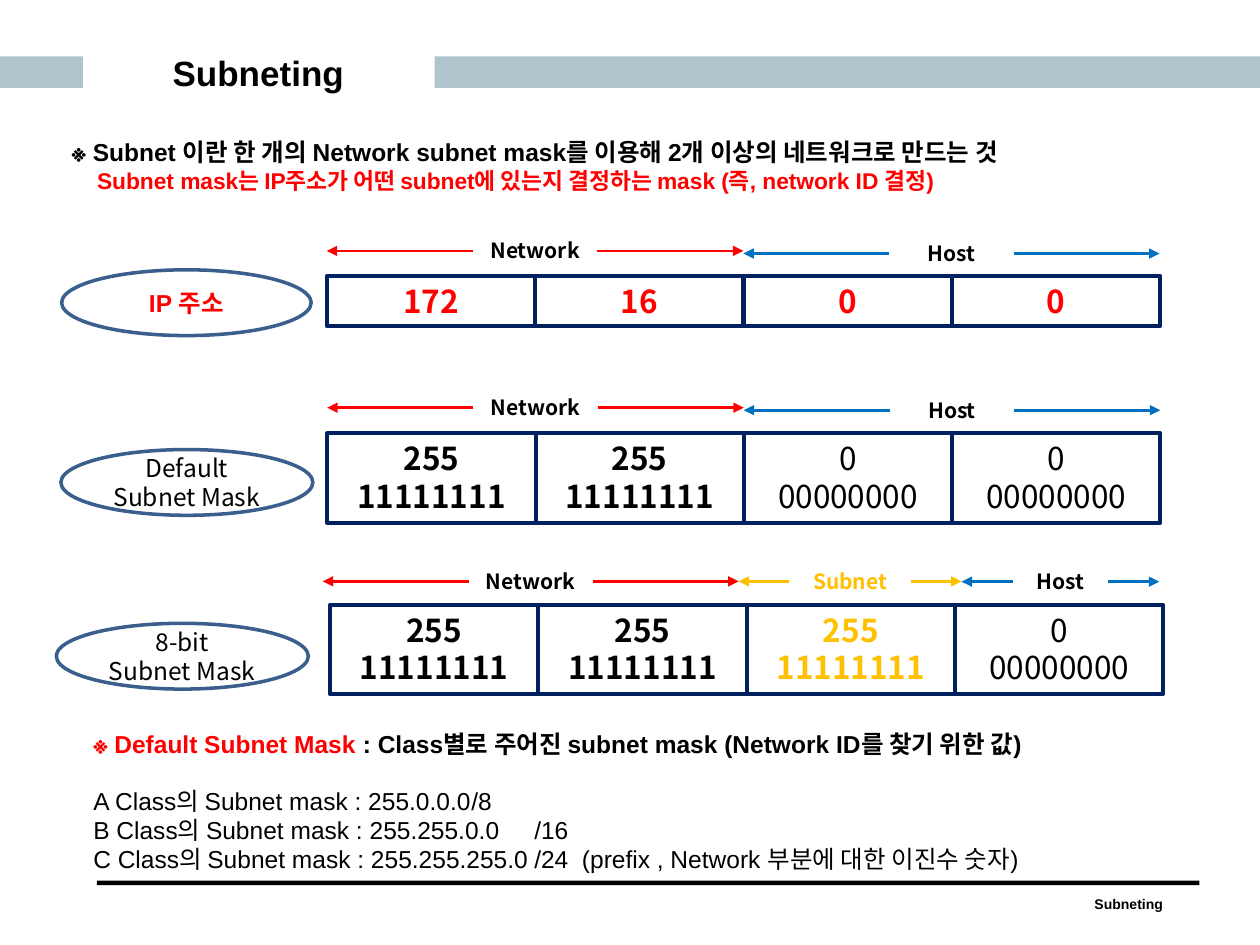
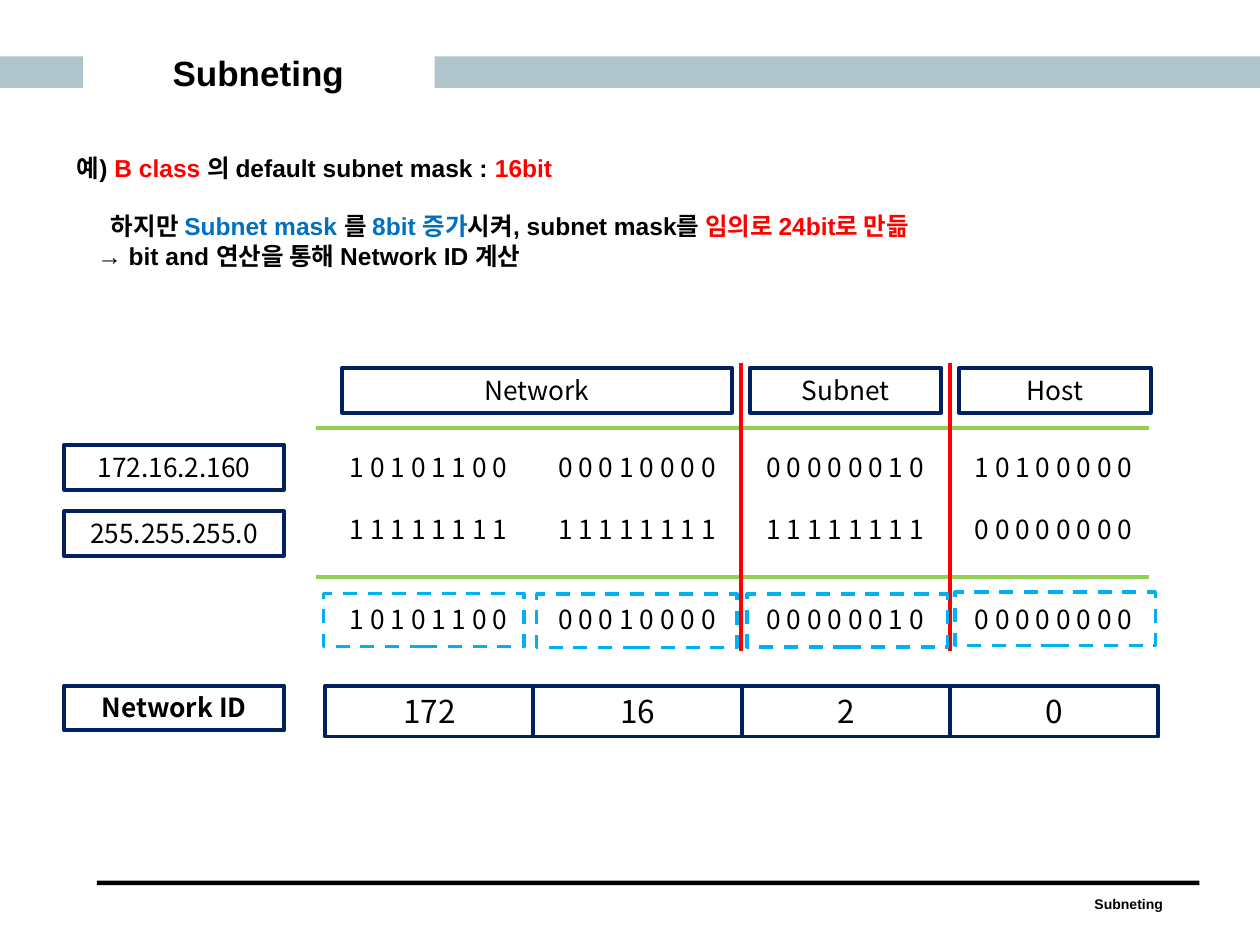
from dataclasses import dataclass

from pptx import Presentation
from pptx import util as u
from pptx.dml.color import RGBColor
from pptx.enum import dml, shapes, text
from pptx.oxml.ns import qn
from lxml import etree


@dataclass(frozen=True)
class Theme:
    latin: str = "Arial"
    korean: str = "Noto Sans CJK KR"
    black: str = "000000"
    red: str = "FF0000"
    blue: str = "0070C0"
    amber: str = "FFC000"
    green: str = "92D050"
    sky: str = "00B0F0"
    navy: str = "002060"
    steel: str = "3A5F8C"
    band: str = "AFC5CB"
    title: int = 20
    octet: int = 18
    bits: int = 15
    body: int = 14
    note: int = 13
    label: int = 12
    footer: int = 8
    leading: float = 1.19


theme = Theme()
RECT, OVAL = shapes.MSO_SHAPE.RECTANGLE, shapes.MSO_SHAPE.OVAL
LEFT, CENTER = text.PP_ALIGN.LEFT, text.PP_ALIGN.CENTER
TOP, MIDDLE = text.MSO_ANCHOR.TOP, text.MSO_ANCHOR.MIDDLE


def put(slide, kind, at, lines=(), size=theme.body, font=theme.korean, bold=False,
        align=CENTER, anchor=TOP, fill=None, outline=None, weight=2.25):
    """Place a preset shape, a text box (kind None) or a placeholder.

    Each line is a list of (words, colour) runs.
    """
    at = [u.Pt(length) for length in at]
    if kind is None:
        shape = slide.shapes.add_textbox(*at)
    elif isinstance(kind, shapes.MSO_SHAPE):
        shape = slide.shapes.add_shape(kind, *at)
        shape.shadow.inherit = False
        shape.fill.background()
        shape.line.fill.background()
    else:
        shape = kind
        shape.left, shape.top, shape.width, shape.height = at
    if fill:
        shape.fill.solid()
        shape.fill.fore_color.rgb = RGBColor.from_string(fill)
    if outline:
        shape.line.color.rgb = RGBColor.from_string(outline)
        shape.line.width = u.Pt(weight)
    frame = shape.text_frame
    frame.word_wrap = True
    frame.auto_size = text.MSO_AUTO_SIZE.NONE
    frame.vertical_anchor = anchor
    for number, line in enumerate(lines):
        paragraph = frame.add_paragraph() if number else frame.paragraphs[0]
        properties = paragraph._p.get_or_add_pPr()
        properties.set("marL", "0")
        properties.set("indent", "0")
        etree.SubElement(properties, qn("a:buNone"))
        paragraph.alignment = align
        paragraph.space_before = u.Pt(0)
        paragraph.line_spacing = u.Pt(round(size * theme.leading, 1))
        for words, colour in line:
            run = paragraph.add_run()
            run.text = words
            run.font.name = font
            run.font.size = u.Pt(size)
            run.font.bold = bold
            run.font.color.rgb = RGBColor.from_string(colour)
            east_asian = etree.SubElement(run.font._element, qn("a:ea"))
            east_asian.set("typeface", theme.korean)
    return shape


def draw_line(slide, x1, y1, x2, y2, colour, weight, arrow=False):
    line = slide.shapes.add_connector(
        shapes.MSO_CONNECTOR.STRAIGHT, *[u.Pt(length) for length in (x1, y1, x2, y2)])
    line.line.color.rgb = RGBColor.from_string(colour)
    line.line.width = u.Pt(weight)
    if arrow:
        tail = etree.SubElement(line.line._get_or_add_ln(), qn("a:tailEnd"))
        tail.set("type", "triangle")
    etree.SubElement(line._element.spPr, qn("a:effectLst"))


deck = Presentation()
deck.slide_width, deck.slide_height = u.Pt(720), u.Pt(540)
masks = deck.slides.add_slide(deck.slide_layouts[3])
example = deck.slides.add_slide(deck.slide_layouts[1])

# Shared bands, footer and title
for slide in (masks, example):
    for at, colour in (((0, 32.2, 47.4, 18), theme.band),
                       ((248.3, 32.2, 471.7, 18), theme.band),
                       ((55.4, 503.3, 630, 2.6), theme.black)):
        put(slide, RECT, at, fill=colour)
    topic = [[("Subneting", theme.black)]]
    put(slide, None, (604, 508.3, 82, 17.3), topic, theme.footer, theme.latin, True)
    put(slide, slide.shapes.title, (54, 26, 187.2, 31), topic,
        theme.title, theme.latin, True, anchor=MIDDLE)

# Slide 1: definitions
definition = put(masks, masks.placeholders[1], (33.8, 74.9, 666.7, 40.3), [
    [("※ Subnet 이란 한 개의 Network subnet mask를 이용해 2개 이상의 네트워크로 만드는 것", theme.black)],
    [("Subnet mask는 IP주소가 어떤 subnet에 있는지 결정하는 mask (즉, network ID 결정)", theme.red)],
], font=theme.latin, bold=True, align=LEFT)
meaning = definition.text_frame.paragraphs[1]
meaning._p.pPr.set("marL", str(u.Pt(14.5)))
meaning.line_spacing = u.Pt(15.5)
meaning.runs[0].font.size = u.Pt(theme.note)

defaults = put(masks, masks.placeholders[2], (46.1, 413.3, 631.4, 90.7), [
    [("※ Default Subnet Mask", theme.red),
     (" : Class별로 주어진 subnet mask (Network ID를 찾기 위한 값)", theme.black)],
    [("A Class의 Subnet mask : 255.0.0.0\t/8", theme.black)],
    [("B Class의 Subnet mask : 255.255.0.0\t/16", theme.black)],
    [("C Class의 Subnet mask : 255.255.255.0\t/24  (prefix , Network 부분에 대한 이진수 숫자)",
      theme.black)],
], font=theme.latin, bold=True, align=LEFT)
class_lines = defaults.text_frame.paragraphs[1:]
class_lines[0].space_before = u.Pt(15.6)
for class_line in class_lines:
    tabs = etree.SubElement(class_line._p.pPr, qn("a:tabLst"))
    etree.SubElement(tabs, qn("a:tab"), pos=str(u.Pt(288)), algn="l")
    class_line.runs[0].font.bold = False

# Slide 1: address and mask rows of four octets
OCTET_WIDTH = 119.04
ones, zeros = ["255", "11111111"], ["0", "00000000"]
network, host = (ones, theme.black, True), (zeros, theme.black, False)
octet_rows = [
    (186.8, 157.7, 28.8, [([value], theme.red, True) for value in ("172", "16", "0", "0")]),
    (187, 247.7, 51.1, [network, network, host, host]),
    (188.6, 345.6, 51.1, [network, network, (ones, theme.amber, True), host]),
]
for left, top, height, octets in octet_rows:
    for column, (values, colour, bold) in enumerate(octets):
        put(masks, RECT, (left + column * OCTET_WIDTH, top, OCTET_WIDTH, height),
            [[(value, colour)] for value in values], theme.octet, bold=bold,
            outline=theme.navy)

row_names = [
    ((35.2, 154.2, 142.6, 37.6), ["IP 주소"], theme.red, theme.latin, True),
    ((34.8, 256.9, 144, 37.6), ["Default Subnet Mask"], theme.black, theme.korean, False),
    ((32.2, 356.2, 144, 37.6), ["8-bit", "Subnet Mask"], theme.black, theme.korean, False),
]
for at, names, colour, font, bold in row_names:
    put(masks, OVAL, at, [[(name, colour)] for name in names], font=font, bold=bold,
        anchor=MIDDLE, outline=theme.steel, weight=2)

# Each span has a label in the middle and an arrow out to either end
spans = [
    ("Network", theme.black, theme.red, 186.7, 424.8, 143.4, 71),
    ("Host", theme.black, theme.blue, 424.8, 662.6, 144.9, 71),
    ("Network", theme.black, theme.red, 187, 425, 233, 71),
    ("Host", theme.black, theme.blue, 425, 663, 234.4, 71),
    ("Network", theme.black, theme.red, 184.4, 422.1, 332.2, 71),
    ("Subnet", theme.amber, theme.amber, 422.1, 549.5, 332.2, 70),
    ("Host", theme.black, theme.blue, 549.5, 662.4, 332.4, 54),
]
for name, ink, colour, start, end, y, gap in spans:
    middle = (start + end) / 2
    put(masks, None, (middle - 35.5, y - 10.9, 71, 21.6), [[(name, ink)]],
        theme.label, bold=True)
    for side, tip in ((-1, start), (1, end)):
        draw_line(masks, middle + side * gap / 2, y, tip, y, colour, 1.5, arrow=True)

# Slide 2: explanation
explanation = put(example, example.placeholders[1], (36.7, 84.2, 538.6, 75), [
    [("예) ", theme.black), ("B class ", theme.red),
     ("의 default subnet mask : ", theme.black), ("16bit", theme.red)],
    [("하지만 ", theme.black), ("Subnet mask ", theme.blue), ("를 ", theme.black),
     ("8bit 증가", theme.blue), ("시켜, subnet mask를 ", theme.black),
     ("임의로 24bit로 만듦", theme.red)],
    [("→ bit and 연산을 통해 Network ID 계산", theme.black)],
], font=theme.latin, bold=True, align=LEFT)
_, change, result = explanation.text_frame.paragraphs
change.space_before = u.Pt(16.4)
change._p.pPr.set("marL", str(u.Pt(19.5)))
result._p.pPr.set("marL", str(u.Pt(11.7)))

# Slide 2: headings, addresses and the bitwise AND
headings = [("Network", 195.6, 222.7), ("Subnet", 428.4, 109.6), ("Host", 548, 109.6)]
for name, left, width in headings:
    put(example, RECT, (left, 210.3, width, 25.5), [[(name, theme.black)]],
        theme.bits, outline=theme.navy)
for name, top, bold in (("172.16.2.160", 254.3, False), ("255.255.255.0", 292.2, False),
                        ("Network ID", 391.9, True)):
    put(example, RECT, (36.7, top, 125.5, 25.5), [[(name, theme.black)]],
        theme.bits, bold=bold, outline=theme.navy)

bit_rows = [
    (254.3, ["10101100", "00010000", "00000010", "10100000"]),
    (290, ["11111111", "11111111", "11111111", "00000000"]),
    (341.3, ["10101100", "00010000", "00000010", "00000000"]),
]
for top, octets in bit_rows:
    for column, octet in enumerate(octets):
        put(example, None, (185.4 + column * OCTET_WIDTH, top, OCTET_WIDTH, 25.2),
            [[(" ".join(octet), theme.black)]], theme.bits)
for column, value in enumerate(("172", "16", "2", "0")):
    put(example, RECT, (185.8 + column * OCTET_WIDTH, 391.9, OCTET_WIDTH, 29),
        [[(value, theme.black)]], theme.octet, outline=theme.navy)

for y in (244.6, 329.7):
    draw_line(example, 180.7, y, 656.6, y, theme.green, 2.25)
for x in (423.4, 542.9):
    draw_line(example, x, 207.4, x, 372, theme.red, 2.25)
for left, top in ((185, 339.1), (306.7, 339.6), (427, 339.4), (545.8, 338.4)):
    result_frame = put(example, RECT, (left, top, 114.4, 30.4), outline=theme.sky, weight=2)
    result_frame.line.dash_style = dml.MSO_LINE.DASH

deck.save("out.pptx")
